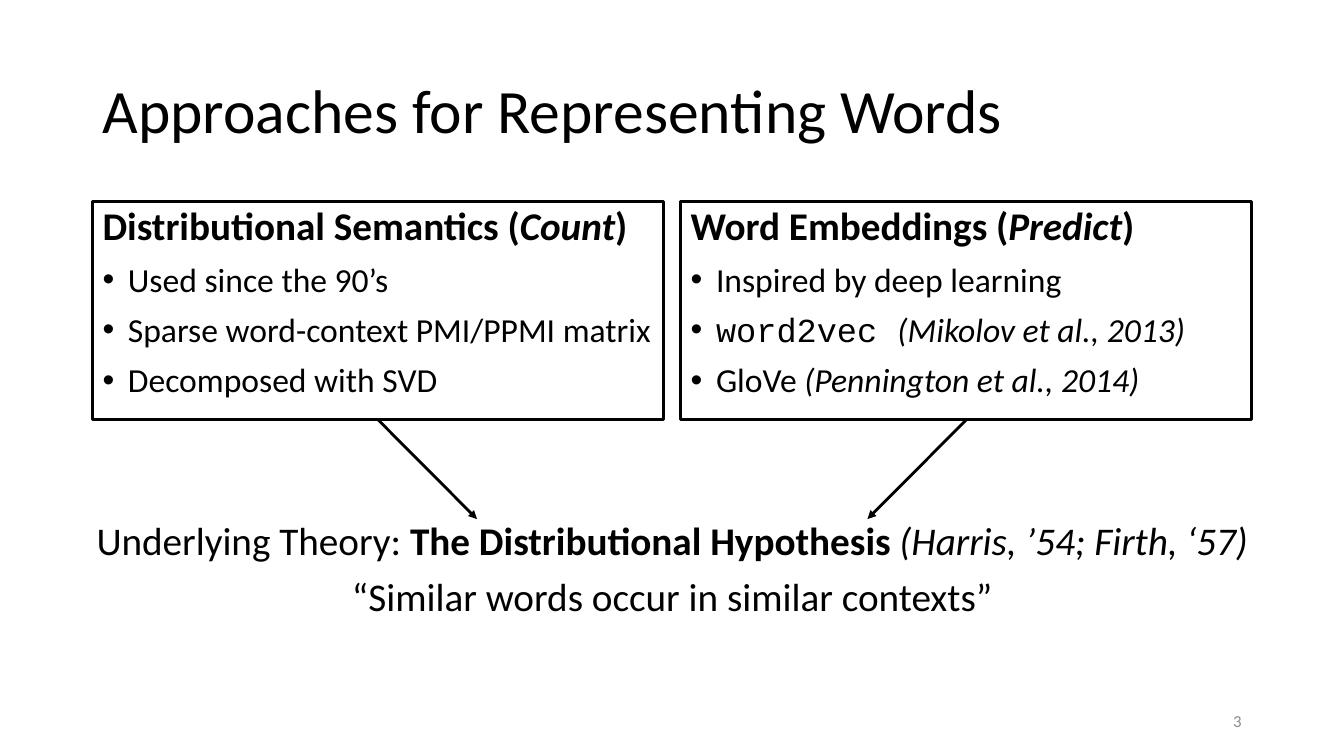
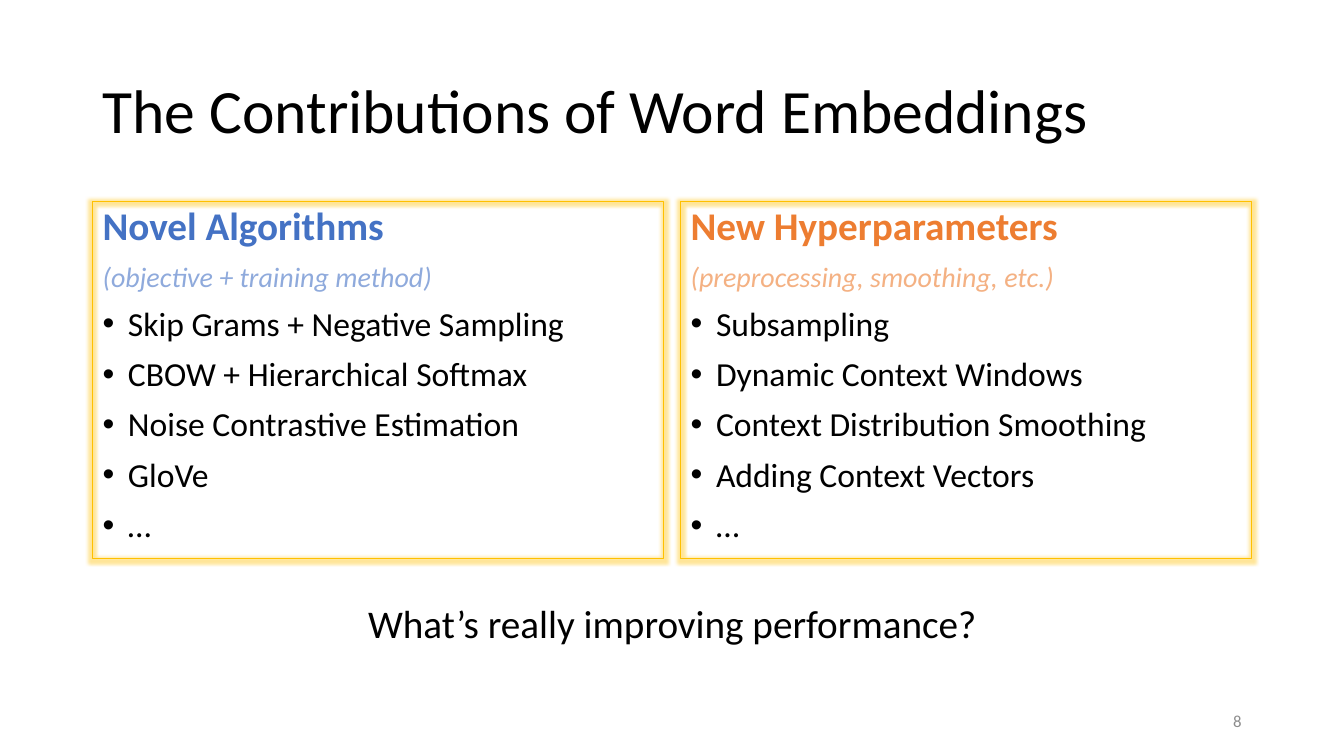
"""Build two slides that compare word representations and their contributions."""
import pptx
import pptx.util
import pptx.dml.color
import pptx.enum.shapes
import pptx.enum.text
import pptx.oxml
import pptx.oxml.ns

Cm, Pt = pptx.util.Cm, pptx.util.Pt
RGBColor = pptx.dml.color.RGBColor
PP_ALIGN = pptx.enum.text.PP_ALIGN
MSO_ANCHOR = pptx.enum.text.MSO_ANCHOR
NAMESPACE = pptx.oxml.ns.nsdecls("a")

BLACK = RGBColor(0x00, 0x00, 0x00)
GRAY = RGBColor(0x8C, 0x8C, 0x8C)
GOLD = RGBColor(0xFF, 0xC0, 0x00)
BLUE = RGBColor(0x44, 0x72, 0xC4)
LIGHT_BLUE = RGBColor(0x8F, 0xAA, 0xDC)
ORANGE = RGBColor(0xED, 0x7D, 0x31)
LIGHT_ORANGE = RGBColor(0xF4, 0xB1, 0x83)

BOLD = {"bold": True}
ITALIC = {"italic": True}
BOLD_ITALIC = {"bold": True, "italic": True}
MONO = {"name": "Courier New"}

MARGIN, TOP = 2.33, 5.08
PANEL_WIDTH, PANEL_STEP = 14.4, 14.82
ARROW_RUN, ARROW_TIP = 2.49, 13.08
HANGING = Cm(0.64)

SLIDES = [
    {
        "title": "Approaches for Representing Words",
        "number": "3",
        "panel_height": 5.5,
        "border": (BLACK, 2),
        "glow": False,
        "arrows": True,
        "panels": [
            {
                "heading": [("Distributional Semantics (", BOLD), ("Count", BOLD_ITALIC), (")", BOLD)],
                "heading_color": BLACK,
                "points": [
                    [("Used since the 90’s", {})],
                    [("Sparse word-context PMI/PPMI matrix", {})],
                    [("Decomposed with SVD", {})],
                ],
            },
            {
                "heading": [("Word Embeddings (", BOLD), ("Predict", BOLD_ITALIC), (")", BOLD)],
                "heading_color": BLACK,
                "points": [
                    [("Inspired by deep learning", {})],
                    [("word2vec ", MONO), ("(Mikolov et al., 2013)", ITALIC)],
                    [("GloVe ", {}), ("(Pennington et al., 2014)", ITALIC)],
                ],
            },
        ],
        "conclusion_top": 13.02,
        "conclusion": [
            [("Underlying Theory: ", {}), ("The Distributional Hypothesis ", BOLD),
             ("(Harris, ’54; Firth, ‘57)", ITALIC)],
            [("“Similar words occur in similar contexts”", {})],
        ],
    },
    {
        "title": "The Contributions of Word Embeddings",
        "number": "8",
        "panel_height": 9,
        "border": (GOLD, 0.75),
        "glow": True,
        "arrows": False,
        "panels": [
            {
                "heading": [("Novel Algorithms", BOLD)],
                "heading_color": BLUE,
                "subtitle": "(objective + training method)",
                "subtitle_color": LIGHT_BLUE,
                "points": [[(point, {})] for point in (
                    "Skip Grams + Negative Sampling", "CBOW + Hierarchical Softmax",
                    "Noise Contrastive Estimation", "GloVe", "…")],
            },
            {
                "heading": [("New Hyperparameters", BOLD)],
                "heading_color": ORANGE,
                "subtitle": "(preprocessing, smoothing, etc.)",
                "subtitle_color": LIGHT_ORANGE,
                "points": [[(point, {})] for point in (
                    "Subsampling", "Dynamic Context Windows",
                    "Context Distribution Smoothing", "Adding Context Vectors", "…")],
            },
        ],
        "conclusion_top": 15.11,
        "conclusion": [[("What’s really improving performance?", {})]],
    },
]


def place(shape, left, top, width, height, anchor=MSO_ANCHOR.TOP):
    """Position a shape, prepare its text frame and return that frame."""
    box = {"left": left, "top": top, "width": width, "height": height}
    for attribute, length in box.items():
        setattr(shape, attribute, Cm(length))
    frame = shape.text_frame
    settings = {"word_wrap": True, "vertical_anchor": anchor,
                "auto_size": pptx.enum.text.MSO_AUTO_SIZE.NONE}
    for attribute, value in settings.items():
        setattr(frame, attribute, value)
    return frame


def write(frame, lines, align=PP_ALIGN.LEFT, spacing=0.9, before=10):
    """Fill a frame with lines of (runs, size, color, bulleted)."""
    for index, (runs, size, color, bulleted) in enumerate(lines):
        paragraph = frame.add_paragraph() if index else frame.paragraphs[0]
        layout = {"alignment": align, "line_spacing": spacing, "space_before": Pt(before)}
        for attribute, value in layout.items():
            setattr(paragraph, attribute, value)
        properties = paragraph._p.get_or_add_pPr()
        properties.set("marL", str(HANGING if bulleted else 0))
        properties.set("indent", str(-HANGING if bulleted else 0))
        if bulleted:
            marks = ('<a:buFont %s typeface="Arial"/>', '<a:buChar %s char="•"/>')
        else:
            marks = ("<a:buNone %s/>",)
        for mark in marks:
            properties.append(pptx.oxml.parse_xml(mark % NAMESPACE))
        for text, style in runs:
            run = paragraph.add_run()
            run.text = text
            font_format = {"name": "Calibri", "size": Pt(size), "bold": False, "italic": False, **style}
            for attribute, value in font_format.items():
                setattr(run.font, attribute, value)
            run.font.color.rgb = color


deck = pptx.Presentation()
deck.slide_width, deck.slide_height = Cm(33.87), Cm(19.05)
two_content = deck.slide_layouts.get_by_name("Two Content")

for content in SLIDES:
    slide = deck.slides.add_slide(two_content)
    title, *panel_shapes = slide.placeholders
    title_frame = place(title, MARGIN, 1.01, 29.21, 3.68, MSO_ANCHOR.MIDDLE)
    write(title_frame, [([(content["title"], {})], 44, BLACK, False)], before=0)

    border_color, border_width = content["border"]
    for column, (panel, panel_text) in enumerate(zip(panel_shapes, content["panels"])):
        left = MARGIN + column * PANEL_STEP
        panel_frame = place(panel, left, TOP, PANEL_WIDTH, content["panel_height"])
        lines = [(panel_text["heading"], 28, panel_text["heading_color"], False)]
        if "subtitle" in panel_text:
            lines.append(([(panel_text["subtitle"], ITALIC)], 20, panel_text["subtitle_color"], False))
        lines += [(point, 24, BLACK, True) for point in panel_text["points"]]
        write(panel_frame, lines)
        panel.line.color.rgb = border_color
        panel.line.width = Pt(border_width)

        if content["glow"]:
            panel._element.spPr.append(pptx.oxml.parse_xml(
                f'<a:effectLst {NAMESPACE}><a:glow rad="63500"><a:srgbClr val="{GOLD}">'
                '<a:alpha val="40000"/></a:srgbClr></a:glow></a:effectLst>'))

        if content["arrows"]:
            center = left + PANEL_WIDTH / 2
            tip = center + (ARROW_RUN if column == 0 else -ARROW_RUN)
            arrow = slide.shapes.add_connector(
                pptx.enum.shapes.MSO_CONNECTOR.STRAIGHT,
                Cm(center), Cm(TOP + content["panel_height"]), Cm(tip), Cm(ARROW_TIP))
            arrow.line.color.rgb = BLACK
            arrow.line.width = Pt(2)
            arrow.line._get_or_add_ln().append(
                pptx.oxml.parse_xml(f'<a:tailEnd {NAMESPACE} type="triangle"/>'))
            arrow._element.spPr.append(pptx.oxml.parse_xml(f"<a:effectLst {NAMESPACE}/>"))

    conclusion = slide.shapes.add_textbox(0, 0, 0, 0)
    conclusion_frame = place(conclusion, 1.8, content["conclusion_top"], 30.28, 2.9)
    write(conclusion_frame, [(runs, 28, BLACK, False) for runs in content["conclusion"]], PP_ALIGN.CENTER)

    number = slide.shapes.add_textbox(0, 0, 0, 0)
    number_frame = place(number, 23.92, 17.65, 7.62, 1.01, MSO_ANCHOR.MIDDLE)
    write(number_frame, [([(content["number"], {})], 12, GRAY, False)], PP_ALIGN.RIGHT, 1.0, 0)

deck.save("out.pptx")
